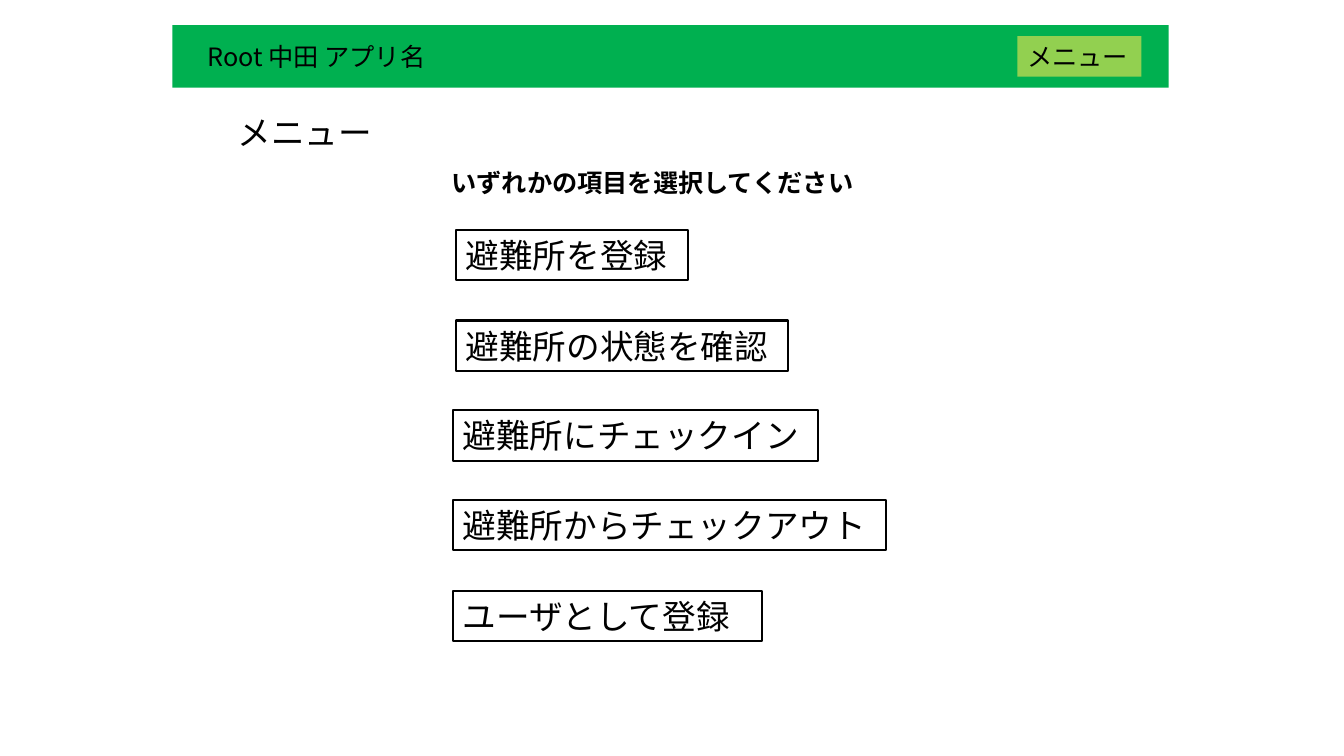
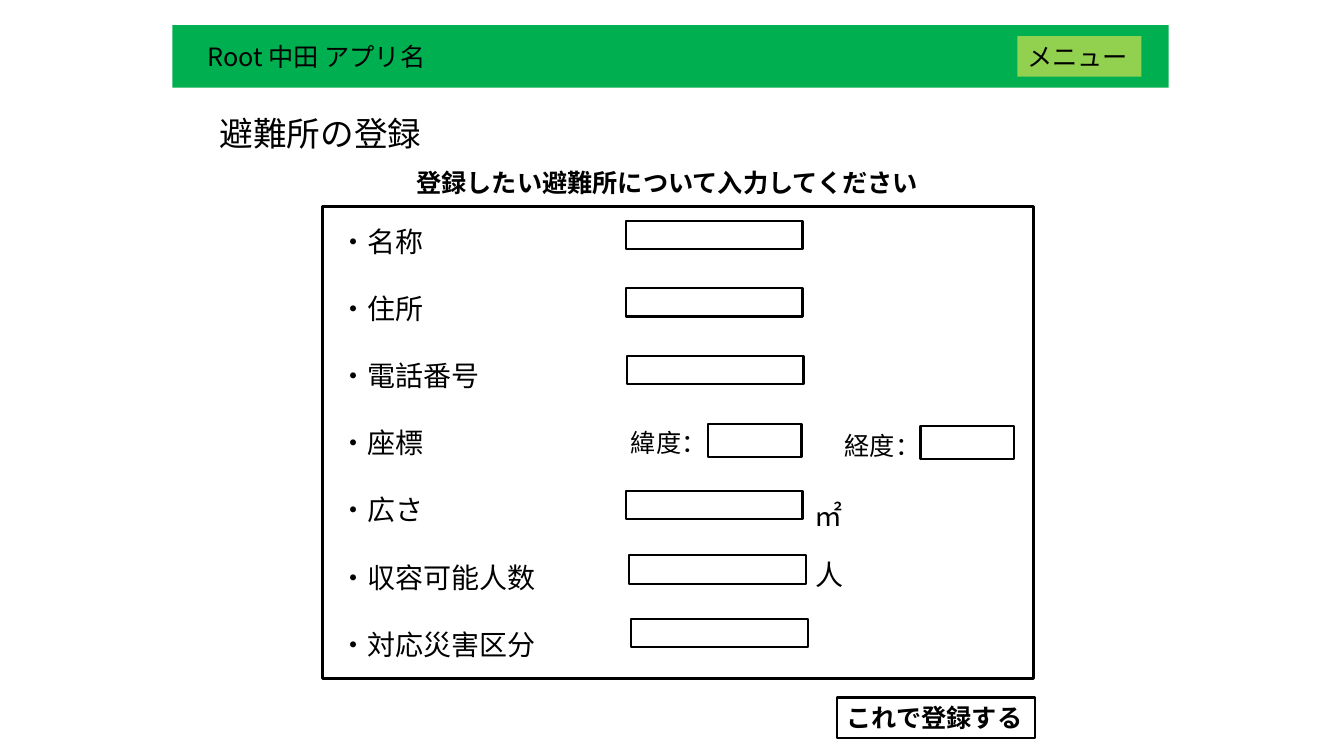
import pptx
import pptx.util
import pptx.dml.color
import pptx.enum.shapes
import pptx.enum.text
import pptx.oxml.ns
import lxml.etree

EMU_PER_PX = 9144
BLANK_LAYOUT = 6
LINE_HEIGHT = 1.2
JAPANESE_FONT = "Noto Sans CJK JP"
MENU_FONT = "Arial"
COLORS = {
    "band": "00B050",
    "menu": "92D050",
    "ink": "000000",
    "paper": "FFFFFF",
}


def px(length):
    return pptx.util.Emu(length * EMU_PER_PX)


def color(name):
    return pptx.dml.color.RGBColor.from_string(COLORS[name])


def add_run(paragraph, text, size, bold=False, font_name=JAPANESE_FONT):
    run = paragraph.add_run()
    run.text = text
    font = run.font
    font.name = font_name
    font.size = pptx.util.Pt(size)
    font.bold = bold
    font.color.rgb = color("ink")
    east_asian = lxml.etree.SubElement(
        run._r.get_or_add_rPr(), pptx.oxml.ns.qn("a:ea")
    )
    east_asian.set("typeface", font_name)


def fill_text(shape, lines, size, gap=0, **style):
    frame = shape.text_frame
    frame.word_wrap = True
    frame.vertical_anchor = pptx.enum.text.MSO_ANCHOR.MIDDLE
    for index, line in enumerate(lines):
        paragraph = frame.add_paragraph() if index else frame.paragraphs[0]
        paragraph.alignment = pptx.enum.text.PP_ALIGN.LEFT
        paragraph.line_spacing = pptx.util.Pt(size * LINE_HEIGHT)
        paragraph.space_before = pptx.util.Pt(gap if index else 0)
        add_run(paragraph, line, size, **style)


def add_text(slide, box, lines, size, **style):
    shape = slide.shapes.add_textbox(*map(px, box))
    fill_text(shape, lines, size, **style)


def add_box(slide, box, fill=None, line_width=None):
    shape = slide.shapes.add_shape(
        pptx.enum.shapes.MSO_SHAPE.RECTANGLE, *map(px, box)
    )
    shape.shadow.inherit = False
    if fill:
        shape.fill.solid()
        shape.fill.fore_color.rgb = color(fill)
    else:
        shape.fill.background()
    if line_width:
        shape.line.color.rgb = color("ink")
        shape.line.width = pptx.util.Pt(line_width)
    else:
        shape.line.fill.background()
    return shape


def add_button(slide, box, text, size, bold=False):
    button = add_box(slide, box, line_width=1.5)
    fill_text(button, [text], size, bold=bold)


def add_screen(presentation, title, title_box, prompt, prompt_box):
    slide = presentation.slides.add_slide(
        presentation.slide_layouts[BLANK_LAYOUT]
    )
    add_box(slide, (171, 25, 988, 62), fill="band")
    add_text(slide, (196, 36, 250, 40), ["Root 中田 アプリ名"], 18)
    menu = add_box(slide, (1009, 36, 123, 40), fill="menu")
    fill_text(menu, ["メニュー"], 18, font_name=MENU_FONT)
    add_text(slide, title_box, [title], 24)
    add_text(slide, prompt_box, [prompt], 18, bold=True)
    return slide


def add_menu_screen(presentation):
    slide = add_screen(
        presentation,
        "メニュー", (226, 106, 180, 50),
        "いずれかの項目を選択してください", (438, 161, 424, 40),
    )
    choices = [
        ("避難所を登録", 452, 230),
        ("避難所の状態を確認", 452, 330),
        ("避難所にチェックイン", 449, 362),
        ("避難所からチェックアウト", 449, 430),
        ("ユーザとして登録", 449, 307),
    ]
    first_top, last_top = 228, 586
    for index, (text, left, width) in enumerate(choices):
        top = first_top + round(
            index * (last_top - first_top) / (len(choices) - 1)
        )
        add_button(slide, (left, top, width, 50), text, 24)


def add_registration_screen(presentation):
    slide = add_screen(
        presentation,
        "避難所の登録", (208, 107, 228, 50),
        "登録したい避難所について入力してください", (403, 161, 525, 40),
    )
    add_box(slide, (320, 205, 705, 468), line_width=2.25)
    labels = [
        "・名称", "・住所", "・電話番号", "・座標",
        "・広さ", "・収容可能人数", "・対応災害区分",
    ]
    add_text(slide, (327, 215, 250, 448), labels, 20, gap=24)
    wide_fields = [
        (621, 219), (621, 286), (622, 353),
        (621, 487), (624, 551), (626, 614),
    ]
    for left, top in wide_fields:
        add_box(slide, (left, top, 175, 28), fill="paper", line_width=1.5)
    for left, top in [(702, 421), (913, 423)]:
        add_box(slide, (left, top, 93, 32), line_width=1.5)
    captions = [
        ("緯度：", (616, 419, 109, 40), 18),
        ("経度：", (828, 422, 100, 40), 18),
        ("㎡", (798, 489, 64, 44), 20),
        ("人", (799, 548, 64, 44), 20),
    ]
    for text, box, size in captions:
        add_text(slide, box, [text], size)
    add_button(slide, (830, 692, 197, 40), "これで登録する", 18, bold=True)


def main():
    presentation = pptx.Presentation()
    presentation.slide_width = px(1333)
    presentation.slide_height = px(750)
    add_menu_screen(presentation)
    add_registration_screen(presentation)
    presentation.save("out.pptx")


if __name__ == "__main__":
    main()
